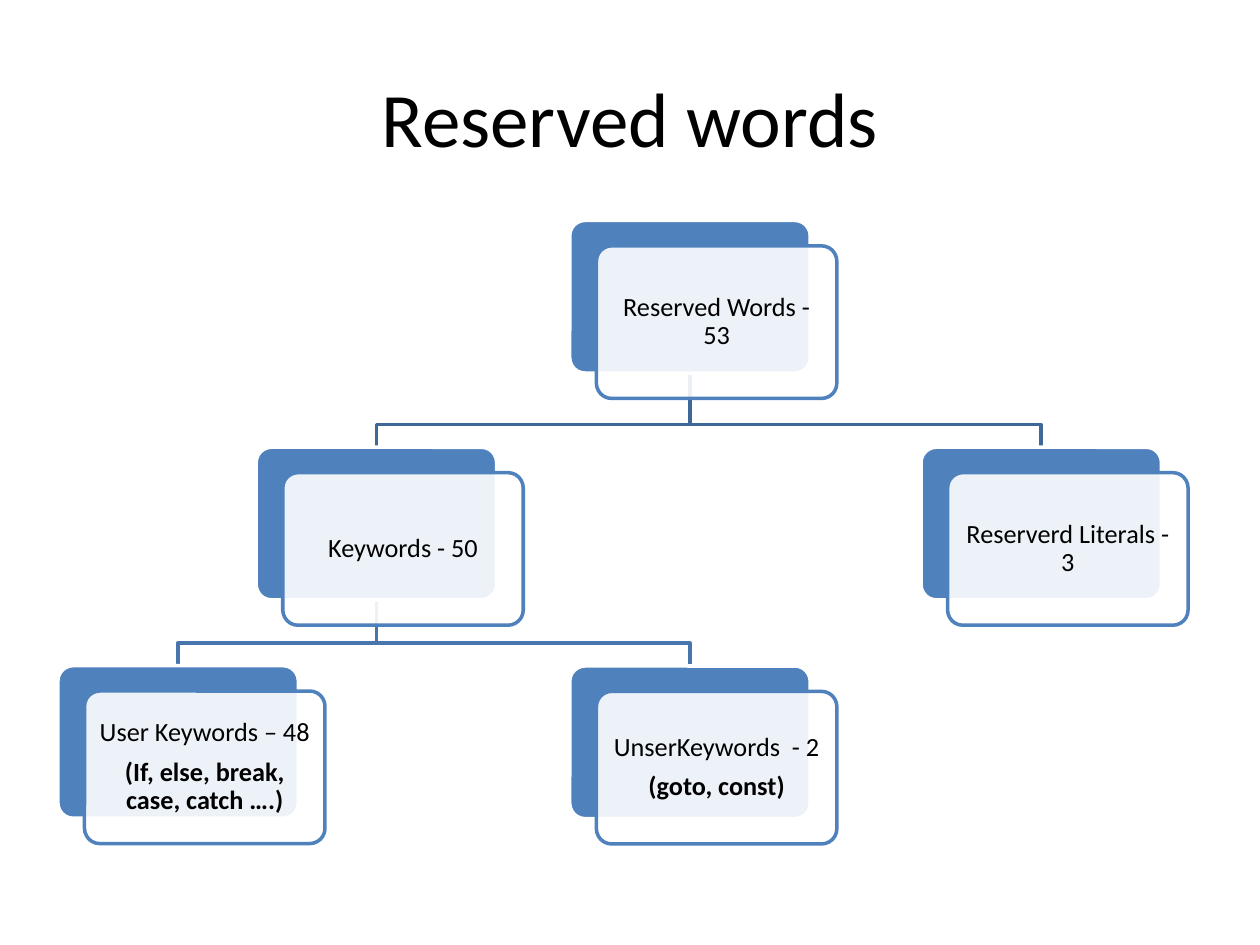
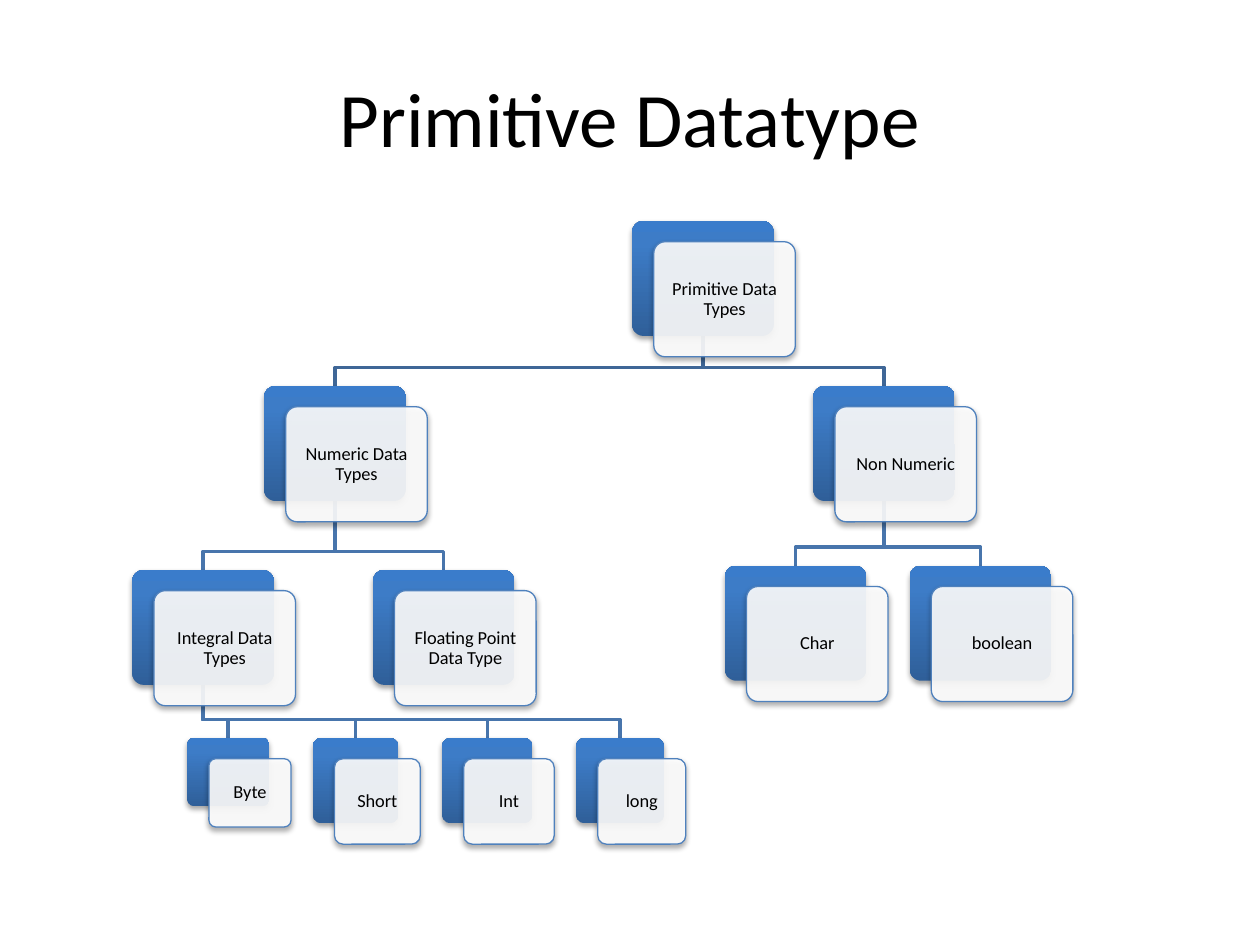
from copy import deepcopy
from dataclasses import dataclass

from lxml.etree import SubElement
from pptx import Presentation
from pptx.dml.color import RGBColor
from pptx.enum.shapes import MSO_SHAPE
from pptx.enum.text import MSO_ANCHOR, PP_ALIGN
from pptx.oxml.ns import qn
from pptx.util import Pt

BLACK = RGBColor(0x00, 0x00, 0x00)
WHITE = RGBColor(0xFF, 0xFF, 0xFF)
BLUE = RGBColor(0x4F, 0x81, 0xBD)
ROOT_LINK = RGBColor(0x3F, 0x67, 0x97)
LINK = RGBColor(0x48, 0x75, 0xAC)
GRADIENT = ((0, RGBColor(0x2F, 0x5F, 0x99)),
            (0.8, RGBColor(0x3D, 0x7C, 0xC7)),
            (1, RGBColor(0x3A, 0x7C, 0xCB)))
FONT = "Calibri"
CORNER = 0.1


@dataclass
class Look:
    """Style of one tree; lengths in points."""
    w: float
    h: float
    dx: float        # shift of the front card from the back card
    dy: float
    elbow: float     # height of a link's last leg
    size: float
    inset: float
    outline: float
    glossy: bool     # gradient and shadows


@dataclass
class Node:
    """One card of a tree; w and h override the look's size."""
    lines: tuple
    x: float
    y: float
    children: tuple = ()
    w: float = 0
    h: float = 0


def write(tf, lines, size, inset=None, spacing=1.0):
    """Write centred paragraphs; those after the first are bold."""
    tf.word_wrap = True
    tf.vertical_anchor = MSO_ANCHOR.MIDDLE
    if inset is not None:
        tf.margin_left = tf.margin_right = Pt(inset)
        tf.margin_top = tf.margin_bottom = Pt(inset)
    for i, line in enumerate(lines):
        p = tf.add_paragraph() if i else tf.paragraphs[0]
        p.alignment = PP_ALIGN.CENTER
        p.line_spacing = spacing
        if i < len(lines) - 1:
            p.space_after = Pt(size * 0.42)
        r = p.add_run()
        r.text = line
        r.font.name, r.font.size = FONT, Pt(size)
        r.font.bold = i > 0
        r.font.color.rgb = BLACK


def set_alpha(fill, percent):
    """Make a solid fill partly transparent."""
    clr = next(fill._xPr.iter(qn("a:srgbClr")))
    SubElement(clr, qn("a:alpha"), val=str(percent * 1000))


def set_gradient(fill):
    """Fill with the three-stop gradient, darkest at the bottom."""
    fill.gradient()
    stops = next(fill._xPr.iter(qn("a:gsLst")))
    stops.append(deepcopy(stops[-1]))
    for stop, (position, color) in zip(fill.gradient_stops, GRADIENT):
        stop.position = position
        stop.color.rgb = color
    fill.gradient_angle = 90


def set_shadow(shape):
    """Add a soft shadow below a shape whose effect list is empty."""
    effects = shape._element.spPr.find(qn("a:effectLst"))
    outer = SubElement(effects, qn("a:outerShdw"), blurRad=str(Pt(3.1)),
                       dist=str(Pt(1.8)), dir="5400000", rotWithShape="0")
    clr = SubElement(outer, qn("a:srgbClr"), val=str(BLACK))
    SubElement(clr, qn("a:alpha"), val="35000")


class Deck:
    """Holds the presentation, the current slide and the tree's look."""

    def __init__(self):
        """Start a 10 by 7.5 inch deck."""
        self.prs = Presentation()
        self.prs.slide_width, self.prs.slide_height = Pt(720), Pt(540)
        self.s = self.look = None

    def slide(self, title, look, root):
        """Add a slide with a title and a tree, links behind cards."""
        self.s = self.prs.slides.add_slide(self.prs.slide_layouts[6])
        self.look = look
        self.text((title,), 36, 21.6, 648, 90, size=44)
        self.links(root, ROOT_LINK)
        self.cards(root)

    def text(self, lines, x, y, w, h, **fmt):
        """Add a text box."""
        box = self.s.shapes.add_textbox(Pt(x), Pt(y), Pt(w), Pt(h))
        write(box.text_frame, lines, **fmt)

    def extent(self, node):
        """Return the width and height of a node's card."""
        return node.w or self.look.w, node.h or self.look.h

    def links(self, node, color):
        """Draw the elbow lines from a node down to all its descendants."""
        w, h = self.extent(node)
        start = node.x + w / 2
        for child in node.children:
            self.links(child, LINK)
            end = child.x + self.extent(child)[0] / 2
            bend = child.y - self.look.elbow
            fb = self.s.shapes.build_freeform(Pt(start), Pt(node.y + h))
            fb.add_line_segments([(Pt(start), Pt(bend)), (Pt(end), Pt(bend)),
                                  (Pt(end), Pt(child.y))], close=False)
            sp = fb.convert_to_shape()
            sp.shadow.inherit = False
            sp.fill.background()
            sp.line.color.rgb = color
            sp.line.width = Pt(2)

    def panel(self, x, y, w, h, line):
        """Add a rounded rectangle, outlined if line is a colour."""
        sp = self.s.shapes.add_shape(MSO_SHAPE.ROUNDED_RECTANGLE,
                                     Pt(x), Pt(y), Pt(w), Pt(h))
        sp.adjustments[0] = CORNER
        sp.shadow.inherit = False
        if line is None:
            sp.line.fill.background()
        else:
            sp.line.color.rgb = line
            sp.line.width = Pt(self.look.outline)
        if self.look.glossy:
            set_shadow(sp)
        return sp

    def cards(self, node):
        """Draw a node as a back and a front card, then its children."""
        look = self.look
        w, h = self.extent(node)
        back = self.panel(node.x, node.y, w, h, None if look.glossy else WHITE)
        if look.glossy:
            set_gradient(back.fill)
        else:
            back.fill.solid()
            back.fill.fore_color.rgb = BLUE
        x, y = node.x + look.dx, node.y + look.dy
        front = self.panel(x, y, w, h, BLUE)
        front.fill.solid()
        front.fill.fore_color.rgb = WHITE
        set_alpha(front.fill, 90)
        pad = min(w, h) * CORNER * 0.29
        self.text(node.lines, x + pad, y + pad, w - 2 * pad, h - 2 * pad,
                  size=look.size, inset=look.inset, spacing=0.9)
        for child in node.children:
            self.cards(child)


FLAT = Look(w=137.4, h=87.2, dx=15.2, dy=14.5, elbow=13, size=15,
            inset=4.5, outline=2, glossy=False)
GLOSSY = Look(w=80.9, h=65.8, dx=12.4, dy=11.9, elbow=10.5, size=10.5,
              inset=3.2, outline=0.75, glossy=True)

keywords = Node(("Keywords - 50",), 146.4, 255.6, (
    Node(("User Keywords – 48", "(If, else, break, case, catch ….)"),
         33.1, 380.4),
    Node(("UnserKeywords  - 2", "(goto, const)"), 325.6, 380.6)))
reserved_words = Node(("Reserved Words - 53",), 325.6, 126, (
    keywords, Node(("Reserverd Literals - 3",), 526.3, 255.6)))

integral = Node(("Integral Data Types",), 75.6, 325.6, tuple(
    Node((name,), x, 421.7, w=w, h=h) for name, x, w, h in (
        ("Byte", 107, 46.9, 39), ("Short", 178.7, 49, 48.8),
        ("Int", 252.6, 51.7, 48.8), ("long", 329.2, 50.3, 48.8))))
numeric = Node(("Numeric Data Types",), 150.9, 220.5, (
    integral, Node(("Floating Point Data Type",), 213.1, 325.6)))
non_numeric = Node(("Non Numeric",), 464.7, 220.5, (
    Node(("Char",), 414.2, 323.2), Node(("boolean",), 519.8, 323.2)))
primitive_types = Node(("Primitive Data Types",), 361.2, 126.2,
                       (numeric, non_numeric))

deck = Deck()
deck.slide("Reserved words", FLAT, reserved_words)
deck.slide("Primitive Datatype", GLOSSY, primitive_types)
deck.prs.save("out.pptx")
